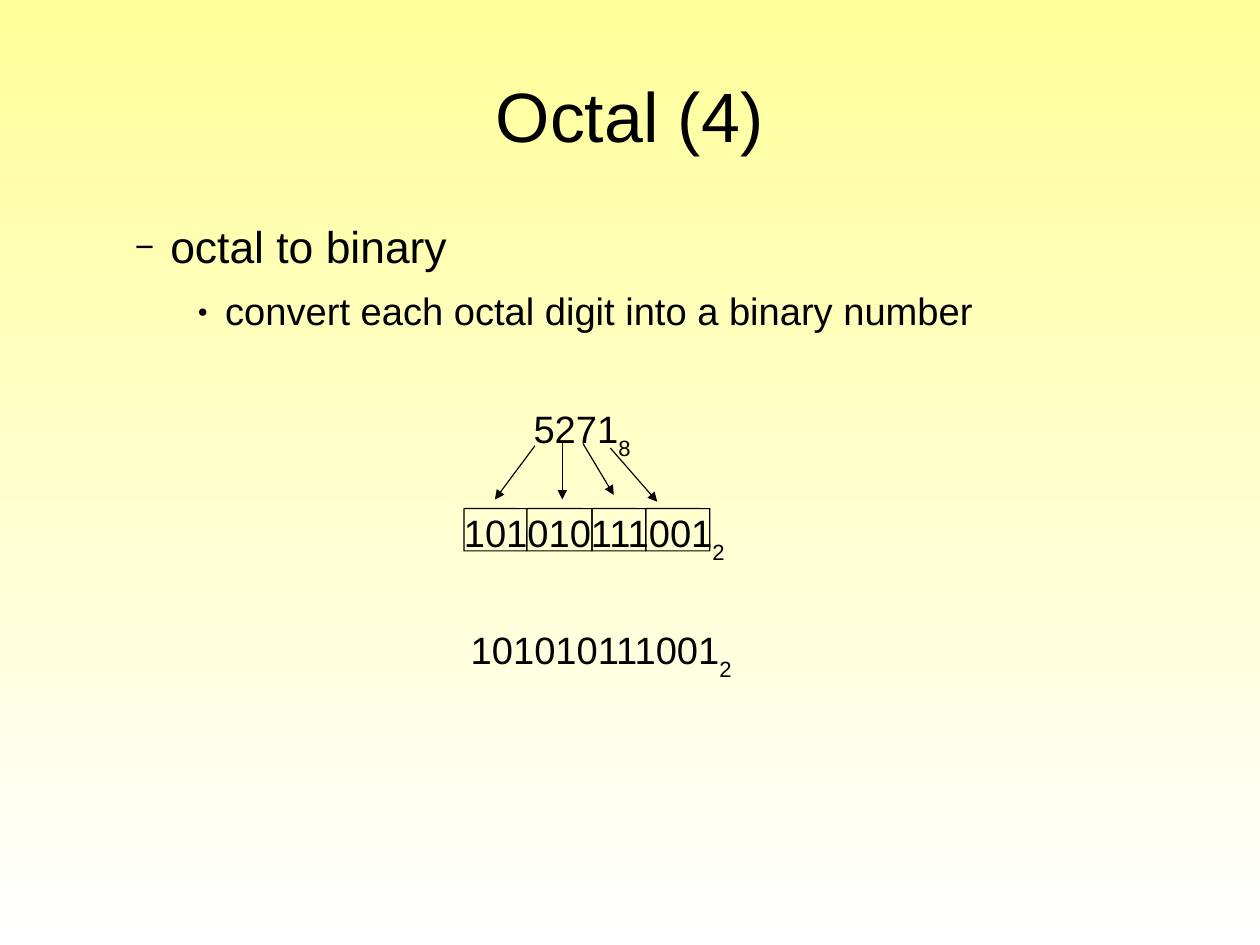
"""Build the slide on converting octal numbers to binary."""
import lxml.etree
import pptx
import pptx.dml.color
import pptx.enum.shapes
import pptx.enum.text
import pptx.oxml.ns
import pptx.util

Inches = pptx.util.Inches
Pt = pptx.util.Pt
BLACK = pptx.dml.color.RGBColor(0x00, 0x00, 0x00)
YELLOW = pptx.dml.color.RGBColor(0xFF, 0xFF, 0x99)
WHITE = pptx.dml.color.RGBColor(0xFF, 0xFF, 0xFF)


def add_xml(parent, tag, **attributes):
    """Append a drawing element to parent and return it."""
    return lxml.etree.SubElement(parent, pptx.oxml.ns.qn(tag), attributes)


class OctalSlide:
    """Hold the slide and its style, with a method per kind of element."""

    font = "Arial"
    line_width = Pt(0.75)
    line_spacing = 0.93
    number_insets = (0.1, 0.07, 0.1, 0.05)

    def __init__(self, presentation):
        """Add a blank slide with a vertical gradient."""
        self.slide = presentation.slides.add_slide(presentation.slide_layouts[6])
        self.shapes = self.slide.shapes
        fill = self.slide.background.fill
        fill.gradient()
        fill.gradient_angle = 270
        for stop, color, position in zip(fill.gradient_stops, (YELLOW, WHITE), (0, 1)):
            stop.color.rgb = color
            stop.position = position

    def frame(self, left, top, width, height, insets):
        """Add an empty wrapping text box and return its text frame."""
        box = self.shapes.add_textbox(
            Inches(left), Inches(top), Inches(width), Inches(height))
        text_frame = box.text_frame
        text_frame.word_wrap = True
        (text_frame.margin_left, text_frame.margin_top,
         text_frame.margin_right, text_frame.margin_bottom) = map(Inches, insets)
        return text_frame

    def run(self, paragraph, text, size, baseline=0):
        """Add one run, lowered when baseline is negative."""
        paragraph.line_spacing = self.line_spacing
        run = paragraph.add_run()
        run.text = text
        run.font.size = Pt(size)
        run.font.name = self.font
        run.font.color.rgb = BLACK
        if baseline:
            run.font._element.set("baseline", str(baseline * 1000))

    def title(self, text):
        """Add the centred title."""
        text_frame = self.frame(0.55, 0.38, 9.92, 1.28, (0, 0.04, 0, 0))
        text_frame.vertical_anchor = pptx.enum.text.MSO_ANCHOR.MIDDLE
        heading = text_frame.paragraphs[0]
        heading.alignment = pptx.enum.text.PP_ALIGN.CENTER
        self.run(heading, text, 44)

    def bullets(self, items):
        """Add the bulleted list."""
        text_frame = self.frame(0.55, 1.93, 9.92, 1.33, (0, 0.03, 0, 0))
        for index, (text, size, mark, mark_size, margin, hang, after) in enumerate(items):
            item = text_frame.add_paragraph() if index else text_frame.paragraphs[0]
            item.level = index + 1
            item.space_after = Pt(after)
            self.run(item, text, size)
            properties = item._p.get_or_add_pPr()
            properties.set("marL", str(Inches(margin)))
            properties.set("indent", str(Inches(-hang)))
            mark_color = add_xml(properties, "a:buClr")
            add_xml(mark_color, "a:srgbClr", val=str(BLACK))
            add_xml(properties, "a:buSzPct", val=str(mark_size * 1000))
            add_xml(properties, "a:buFont", typeface=self.font)
            add_xml(properties, "a:buChar", char=mark)

    def number(self, digits, base, left, top, width, height):
        """Add a number with its base as a subscript."""
        paragraph = self.frame(left, top, width, height, self.number_insets).paragraphs[0]
        self.run(paragraph, digits, 24)
        self.run(paragraph, base, 24, -33)

    def outline(self, left, top, width, height):
        """Add the frame around one group of binary digits."""
        group = self.shapes.add_shape(
            pptx.enum.shapes.MSO_SHAPE.ROUNDED_RECTANGLE,
            Inches(left), Inches(top), Inches(width), Inches(height))
        group.adjustments[0] = 0.005
        group.shadow.inherit = False
        group.fill.background()
        group.line.color.rgb = BLACK
        group.line.width = self.line_width

    def arrow(self, *ends):
        """Add an arrow from an octal digit to its binary group."""
        arrow = self.shapes.add_connector(
            pptx.enum.shapes.MSO_CONNECTOR.STRAIGHT, *map(Inches, ends))
        arrow.line.color.rgb = BLACK
        arrow.line.width = self.line_width
        add_xml(arrow.line._get_or_add_ln(), "a:tailEnd", type="triangle")
        add_xml(arrow._element.spPr, "a:effectLst")


def main():
    """Compose and save the slide."""
    presentation = pptx.Presentation()
    presentation.slide_width = pptx.util.Cm(28)
    presentation.slide_height = pptx.util.Cm(21)
    page = OctalSlide(presentation)

    page.title("Octal (4)")
    page.bullets([
        ("octal to binary", 28, "−", 75, 0.94, 0.31, 11.4),
        ("convert each octal digit into a binary number", 24, "●", 45, 1.42, 0.24, 8.5),
    ])

    binary_digits = "101010111001"
    page.number(binary_digits, "2", 4.02, 5.41, 2.58, 0.59)
    page.number(binary_digits, "2", 3.96, 4.39, 2.52, 0.95)
    group_left = 4.06
    for group_width in (0.55, 0.57, 0.47, 0.56):
        page.outline(group_left, 4.45, group_width, 0.37)
        group_left += group_width

    page.number("5271", "8", 4.57, 3.48, 1.1, 0.59)
    for ends in (
        (4.68, 3.9, 4.33, 4.37),
        (4.92, 3.88, 4.92, 4.37),
        (5.1, 3.88, 5.37, 4.33),
        (5.34, 3.92, 5.75, 4.39),
    ):
        page.arrow(*ends)

    presentation.save("out.pptx")


if __name__ == "__main__":
    main()
